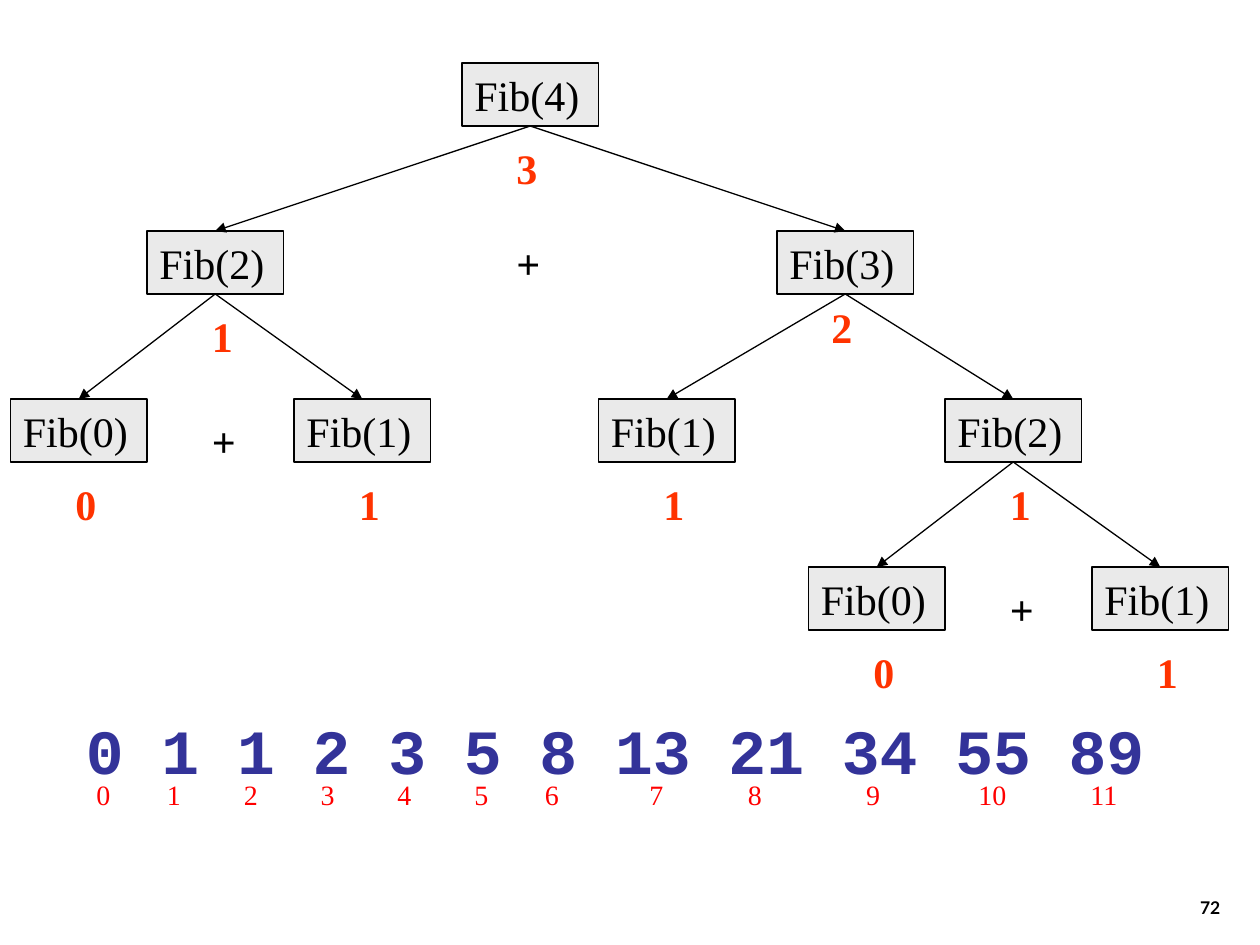
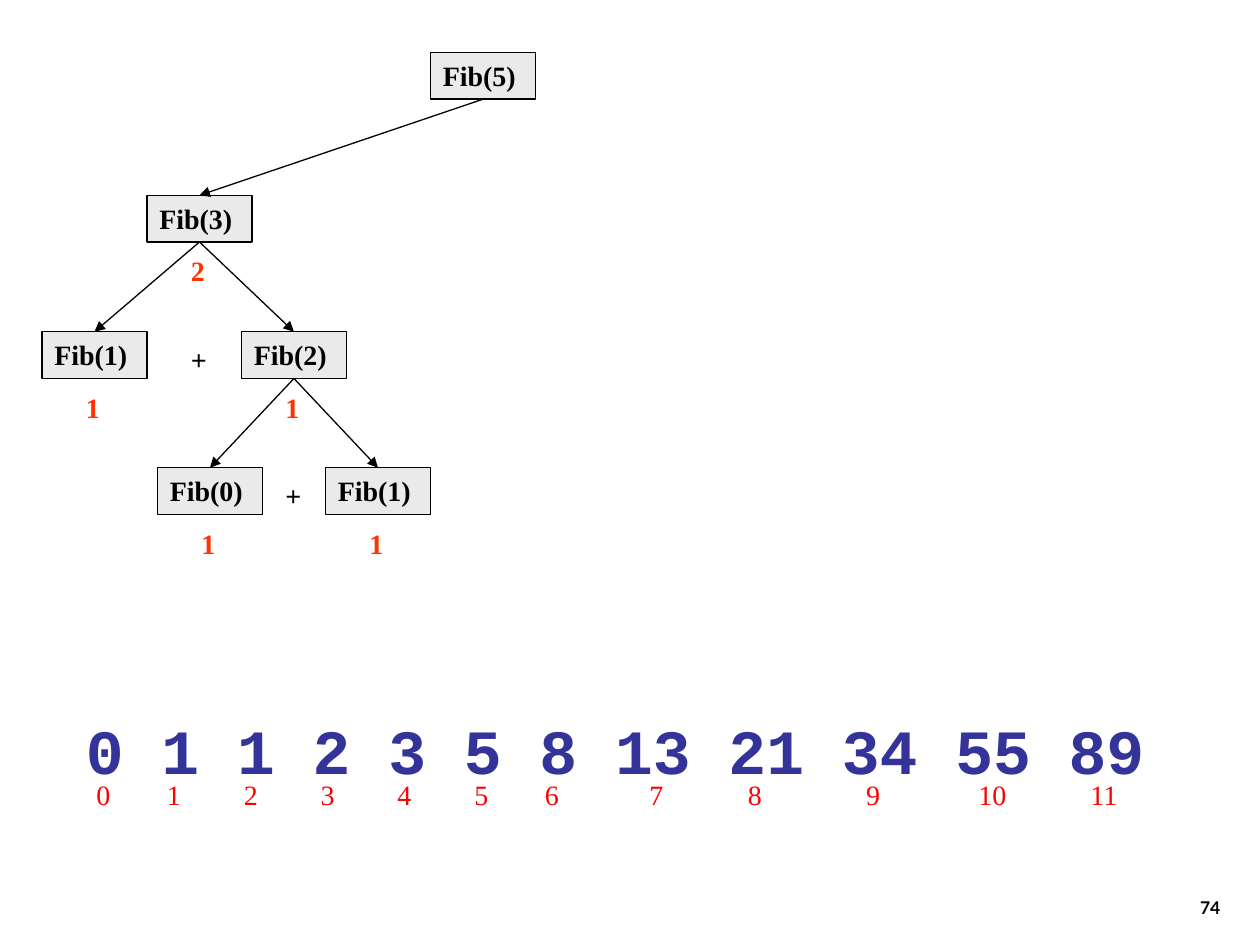
from dataclasses import dataclass

from lxml import etree
from pptx import Presentation
from pptx.dml.color import RGBColor
from pptx.enum.shapes import MSO_CONNECTOR, MSO_SHAPE
from pptx.enum.text import MSO_ANCHOR, PP_ALIGN
from pptx.oxml.ns import qn
from pptx.util import Inches, Pt

RECT = MSO_SHAPE.RECTANGLE
STRAIGHT = MSO_CONNECTOR.STRAIGHT
TOP, BOTTOM = MSO_ANCHOR.TOP, MSO_ANCHOR.BOTTOM
LEFT, RIGHT = PP_ALIGN.LEFT, PP_ALIGN.RIGHT
BOX_TOP, BOX_BOTTOM = 0, 2

COLORS = {
    "ink": "000000",
    "box": "EAEAEA",
    "value": "FF3300",
    "sequence": "333399",
    "index": "FF0000",
}
SERIF, MONO, SANS = "Times New Roman", "Courier New", "Lato"
SEQUENCE = "0 1 1 2 3 5 8 13 21 34 55 89"
INDEX_TABS = (0.56, 1.17, 1.78, 2.39, 3, 3.56, 4.39, 5.17, 6.11, 7, 7.89)


@dataclass
class Node:
    label: str
    col: float
    value: str = ""
    children: tuple = ()
    plus_drop: float | None = None  # rows from the children's top to the plus
    shift: tuple = (0, 0)           # columns and rows added to the value offset


@dataclass
class TreeStyle:
    size: int
    bold: bool
    box: tuple           # columns wide, rows high
    value_offset: tuple  # columns and rows from the box corner
    plus_width: float
    levels: tuple        # top row of each tree level


def grid(n):
    """Twelve columns or rows to the inch."""
    return Inches(n / 12)


def rgb(name):
    return RGBColor.from_string(COLORS[name])


def set_text(sp, text, size, color, font=SERIF, bold=False,
             align=LEFT, anchor=TOP, tabs=()):
    tf = sp.text_frame
    tf.word_wrap = True
    tf.vertical_anchor = anchor
    p = tf.paragraphs[0]
    p.text = text
    p.alignment = align
    if tabs:
        tab_list = etree.SubElement(p._p.get_or_add_pPr(), qn("a:tabLst"))
        for pos in tabs:
            etree.SubElement(tab_list, qn("a:tab"), pos=str(Inches(pos)), algn="l")
    for r in p.runs:
        r.font.name = font
        r.font.size = Pt(size)
        r.font.bold = bold
        r.font.color.rgb = rgb(color)


def add_label(slide, col, row, width, height, text, size, color, **style):
    sp = slide.shapes.add_textbox(grid(col), grid(row), grid(width), grid(height))
    set_text(sp, text, size, color, **style)


def add_call_box(slide, node, row, style):
    width, height = style.box
    sp = slide.shapes.add_shape(RECT, grid(node.col), grid(row), grid(width), grid(height))
    sp.shadow.inherit = False
    sp.fill.solid()
    sp.fill.fore_color.rgb = rgb("box")
    sp.line.color.rgb = rgb("ink")
    sp.line.width = Pt(0.75)
    set_text(sp, node.label, style.size, "ink", bold=style.bold)
    return sp


def add_arrow(slide, parent, child):
    line = slide.shapes.add_connector(STRAIGHT, 0, 0, 0, 0)
    line.begin_connect(parent, BOX_BOTTOM)
    line.end_connect(child, BOX_TOP)
    line.line.color.rgb = rgb("ink")
    line.line.width = Pt(0.75)
    etree.SubElement(line.line._get_or_add_ln(), qn("a:tailEnd"), type="triangle")
    etree.SubElement(line._element.spPr, qn("a:effectLst"))


def add_tree(slide, node, style, level=0):
    """Draw a call with its result, then its sub-calls; return the call's box."""
    row = style.levels[level]
    box = add_call_box(slide, node, row, style)
    height = style.box[1]
    dx, dy = (a + b for a, b in zip(style.value_offset, node.shift))
    if node.value:
        add_label(slide, node.col + dx, row + dy, 5, height,
                  node.value, style.size, "value", bold=True)
    if node.plus_drop is not None:
        add_label(slide, node.col + dx, style.levels[level + 1] + node.plus_drop,
                  style.plus_width, height, "+", style.size, "ink", bold=True)
    for child in node.children:
        add_arrow(slide, box, add_tree(slide, child, style, level + 1))
    return box


def add_sequence(slide):
    add_label(slide, 7, 67.2, 107, 8.4, SEQUENCE, 36, "sequence", font=MONO, bold=True)
    indexes = "\t".join(str(i) for i in range(len(INDEX_TABS) + 1))
    add_label(slide, 8, 73.5, 101, 4.4, indexes, 16, "index", tabs=INDEX_TABS)


def add_tree_slide(prs, root, style, number):
    slide = prs.slides.add_slide(prs.slide_layouts[6])
    add_tree(slide, root, style)
    add_sequence(slide)
    add_label(slide, 92.4, 82, 25, 6, number, 10, "ink",
              font=SANS, bold=True, align=RIGHT, anchor=BOTTOM)


def main():
    prs = Presentation()
    prs.slide_width, prs.slide_height = Inches(10), Inches(7.5)

    # Complete call tree of Fib(4)
    large = TreeStyle(size=24, bold=False, box=(13, 6), value_offset=(5, 7),
                      plus_width=5.75, levels=(6, 22, 38, 54))
    fib4 = Node("Fib(4)", 44, "3", (
        Node("Fib(2)", 14, "1", (
            Node("Fib(0)", 1, "0"),
            Node("Fib(1)", 28, "1"),
        ), plus_drop=1),
        Node("Fib(3)", 74, "2", (
            Node("Fib(1)", 57, "1"),
            Node("Fib(2)", 90, "1", (
                Node("Fib(0)", 77, "0"),
                Node("Fib(1)", 104, "1"),
            ), plus_drop=1),
        ), shift=(-1, -0.9)),
    ), plus_drop=0, shift=(-1, 0))
    add_tree_slide(prs, fib4, large, "72")

    # First branch of Fib(5)
    small = TreeStyle(size=16, bold=True, box=(10, 4.45), value_offset=(3, 5),
                      plus_width=4, levels=(5, 18.6, 31.6, 44.55))
    fib5 = Node("Fib(5)", 41, children=(
        Node("Fib(3)", 14, "2", (
            Node("Fib(1)", 4, "1"),
            Node("Fib(2)", 23, "1", (
                Node("Fib(0)", 15, "1"),
                Node("Fib(1)", 31, "1"),
            ), plus_drop=0.45),
        ), plus_drop=0.45),
    ))
    add_tree_slide(prs, fib5, small, "74")

    prs.save("out.pptx")


if __name__ == "__main__":
    main()
